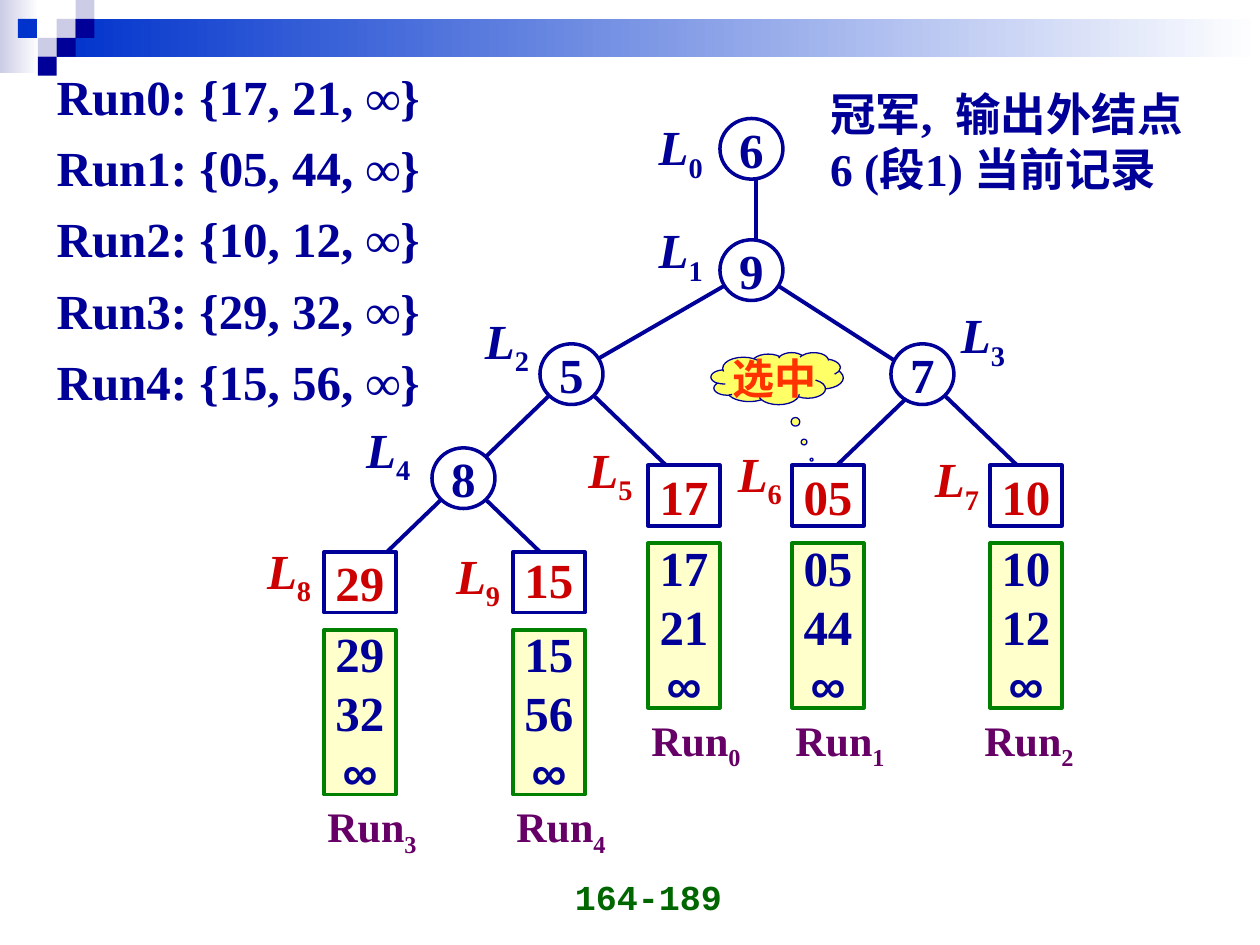
from lxml import etree
from pptx import Presentation
from pptx.dml.color import RGBColor
from pptx.enum.shapes import MSO_CONNECTOR, MSO_SHAPE
from pptx.enum.text import MSO_ANCHOR, MSO_AUTO_SIZE, PP_ALIGN
from pptx.oxml.ns import qn
from pptx.util import Inches, Pt

RECT, OVAL, CLOUD = MSO_SHAPE.RECTANGLE, MSO_SHAPE.OVAL, MSO_SHAPE.CLOUD_CALLOUT
CENTER, RIGHT = PP_ALIGN.CENTER, PP_ALIGN.RIGHT
MIDDLE, BOTTOM = MSO_ANCHOR.MIDDLE, MSO_ANCHOR.BOTTOM
FIT, NO_FIT = MSO_AUTO_SIZE.SHAPE_TO_FIT_TEXT, MSO_AUTO_SIZE.NONE

NAVY = RGBColor(0x00, 0x00, 0x99)
BLUE = RGBColor(0x00, 0x33, 0xCC)
LILAC = RGBColor(0xCC, 0xCC, 0xE6)
WHITE = RGBColor(0xFF, 0xFF, 0xFF)
RED = RGBColor(0xCC, 0x00, 0x00)
ORANGE = RGBColor(0xFF, 0x33, 0x00)
PURPLE = RGBColor(0x66, 0x00, 0x66)
GREEN = RGBColor(0x00, 0x80, 0x00)
DARK_GREEN = RGBColor(0x00, 0x66, 0x00)
CREAM = RGBColor(0xFF, 0xFF, 0xCC)
YELLOW = RGBColor(0xFF, 0xFF, 0x66)

# The tree stands on a fine grid: columns from the left edge, rows from the root
COL, ROW, TOP = Inches(1 / 14), Inches(0.0688), Inches(0.94)
TILE = Inches(0.15)

prs = Presentation()
prs.slide_width, prs.slide_height = Inches(10), Inches(7.5)
W, H = prs.slide_width, prs.slide_height
s = prs.slides.add_slide(prs.slide_layouts[1])
title, body = s.placeholders
title.element.getparent().remove(title.element)


def add_box(kind, box, fill, line=None, width=2):
    """Add a preset shape; two fill colours make a left-to-right gradient."""
    sp = s.shapes.add_shape(kind, *(int(v) for v in box))
    sp.shadow.inherit = False
    if isinstance(fill, list):
        sp.fill.gradient()
        sp.fill.gradient_angle = 0
        for stop, color in zip(sp.fill.gradient_stops, fill):
            stop.color.rgb = color
    else:
        sp.fill.solid()
        sp.fill.fore_color.rgb = fill
    if line is None:
        sp.line.fill.background()
    else:
        sp.line.color.rgb = line
        sp.line.width = Pt(width)
    return sp


def write(tf, lines, color, sub="", para=None, **font):
    """Fill a text frame with bold lines and an optional subscript."""
    for i, line in enumerate(lines):
        p = tf.paragraphs[0] if i == 0 else tf.add_paragraph()
        for name, value in (para or {}).items():
            if i or name != "space_before":
                setattr(p, name, value)
        for text in filter(None, (line, sub)):
            r = p.add_run()
            r.text = text
            look = {"name": "Times New Roman", "size": Pt(28), "bold": True, **font}
            if text == "∞":
                look["name"] = "Arial"
            if text == sub:
                look["italic"] = False
                r._r.get_or_add_rPr().set("baseline", "-25000")
            for name, value in look.items():
                setattr(r.font, name, value)
            r.font.color.rgb = color


# Header band and tiles
add_box(RECT, (0, 0, Inches(0.31), Inches(0.58)), [LILAC, WHITE])
add_box(RECT, (3 * TILE, TILE, W - 3 * TILE, 2 * TILE), [BLUE, WHITE])
for col, row, color in [(3, 1, LILAC), (4, 0, LILAC), (4, 1, NAVY), (2, 2, LILAC),
                        (0.95, 1, BLUE), (3, 2, NAVY), (2, 3, NAVY)]:
    add_box(RECT, (col * TILE, row * TILE, TILE, TILE), color)

# Run list
body.left, body.top = int(W * 0.035), int(H * 0.064)
body.width, body.height = int(W * 0.4), int(H * 0.38)
runs = [(17, 21), (5, 44), (10, 12), (29, 32), (15, 56)]
tf = body.text_frame
tf.auto_size = NO_FIT
write(tf, [f"Run{i}: {{{a:02}, {b}, ∞}}" for i, (a, b) in enumerate(runs)], NAVY,
      para={"space_before": Pt(7)})
for p in tf.paragraphs:
    pPr = p._p.get_or_add_pPr()
    pPr.set("marL", "0")
    pPr.set("indent", "0")
    etree.SubElement(pPr, qn("a:buNone"))

# Note and page number
note = s.shapes.add_textbox(int(W * 0.649), int(H * 0.085), int(W * 0.307), int(H * 0.187))
note.text_frame.word_wrap = True
write(note.text_frame, ["冠军,  输出外结点6 (段1) 当前记录"], NAVY, size=Pt(26))
page = s.shapes.add_textbox(int(W * 0.35), int(H * 0.91), int(W * 0.233), int(H * 0.067))
page.text_frame.word_wrap = True
page.text_frame.vertical_anchor = BOTTOM
write(page.text_frame, ["164-189"], DARK_GREEN, para={"alignment": RIGHT},
      name="Courier New", size=Pt(20))

# Branches: column and row of both ends
for c1, r1, c2, r2 in [(84, 14, 84, 7), (93, 40, 101, 32), (86, 19, 101, 29),
                       (66, 28, 81, 19), (54, 44, 60, 50), (54, 39, 62, 31),
                       (66, 32, 74, 40), (49, 44, 43, 50), (105, 32, 113, 40)]:
    ln = s.shapes.add_connector(MSO_CONNECTOR.STRAIGHT, c1 * COL, TOP + r1 * ROW,
                                c2 * COL, TOP + r2 * ROW)
    ln.line.color.rgb = NAVY
    ln.line.width = Pt(2.25)
    etree.SubElement(ln._element.spPr, qn("a:effectLst"))

# Nodes: shape, column, row, width, height, fill, line, lines, text colour
nodes = [(OVAL, col, row, 7, 7, WHITE, NAVY, [text], NAVY)
         for col, row, text in [(48, 38, "8"), (60, 26, "5"), (99, 26, "7"),
                                (80, 14, "9"), (80, 0, "6")]]
labels = [("L", "0", 71.8, -0.9, NAVY), ("L", "1", 71.8, 11, NAVY),
          ("L", "2", 52.5, 21.4, NAVY), ("L", "3", 105.4, 20.8, NAVY),
          ("L", "4", 39.3, 34, NAVY), ("L", "5", 64, 36.3, RED),
          ("L", "6", 80.6, 36.8, RED), ("L", "7", 102.5, 37.4, RED),
          ("L", "8", 28.3, 48, RED), ("L", "9", 49.3, 48.5, RED)]
leaves = [(72, 40, 71), (88, 40, 87), (110, 40, 108), (36, 50, 35), (57, 50, 56)]
for i, ((col, row, run_col), (a, b)) in enumerate(zip(leaves, runs)):
    nodes.append((RECT, col, row, 8, 7, WHITE, NAVY, [f"{a:02}"], RED))
    nodes.append((RECT, col, row + 9, 8, 19, CREAM, GREEN, [f"{a:02}", str(b), "∞"], NAVY))
    labels.append(("Run", str(i), run_col, row + 28, PURPLE))

for kind, col, row, w, h, fill, line, lines, color in nodes:
    sp = add_box(kind, (col * COL, TOP + row * ROW, w * COL, h * ROW), fill, line)
    tf = sp.text_frame
    tf.word_wrap = False
    tf.vertical_anchor = MIDDLE
    para = {"alignment": CENTER}
    if lines == ["15"]:
        para["line_spacing"] = 0.9
    write(tf, lines, color, para=para)

for text, sub, col, row, color in labels:
    is_run = text == "Run"
    w, h = (0.91, 0.56) if is_run else (0.55, 0.63)
    sp = s.shapes.add_textbox(int(col * COL), int(TOP + row * ROW), Inches(w), Inches(h))
    sp.text_frame.word_wrap = False
    sp.text_frame.auto_size = FIT
    write(sp.text_frame, [text], color, sub, size=Pt(24 if is_run else 28),
          italic=not is_run)

# Cloud over the selected leaf
cloud = add_box(CLOUD, (79 * COL, TOP + 27 * ROW, 14.7 * COL, 6 * ROW), YELLOW, NAVY, 0.75)
cloud.adjustments[0], cloud.adjustments[1] = 0.26, 1.56
sp = s.shapes.add_textbox(80 * COL, int(TOP + 26.3 * ROW), int(14.8 * COL), int(7.3 * ROW))
sp.text_frame.word_wrap = True
write(sp.text_frame, ["选中"], ORANGE, size=Pt(24))

prs.save("out.pptx")
